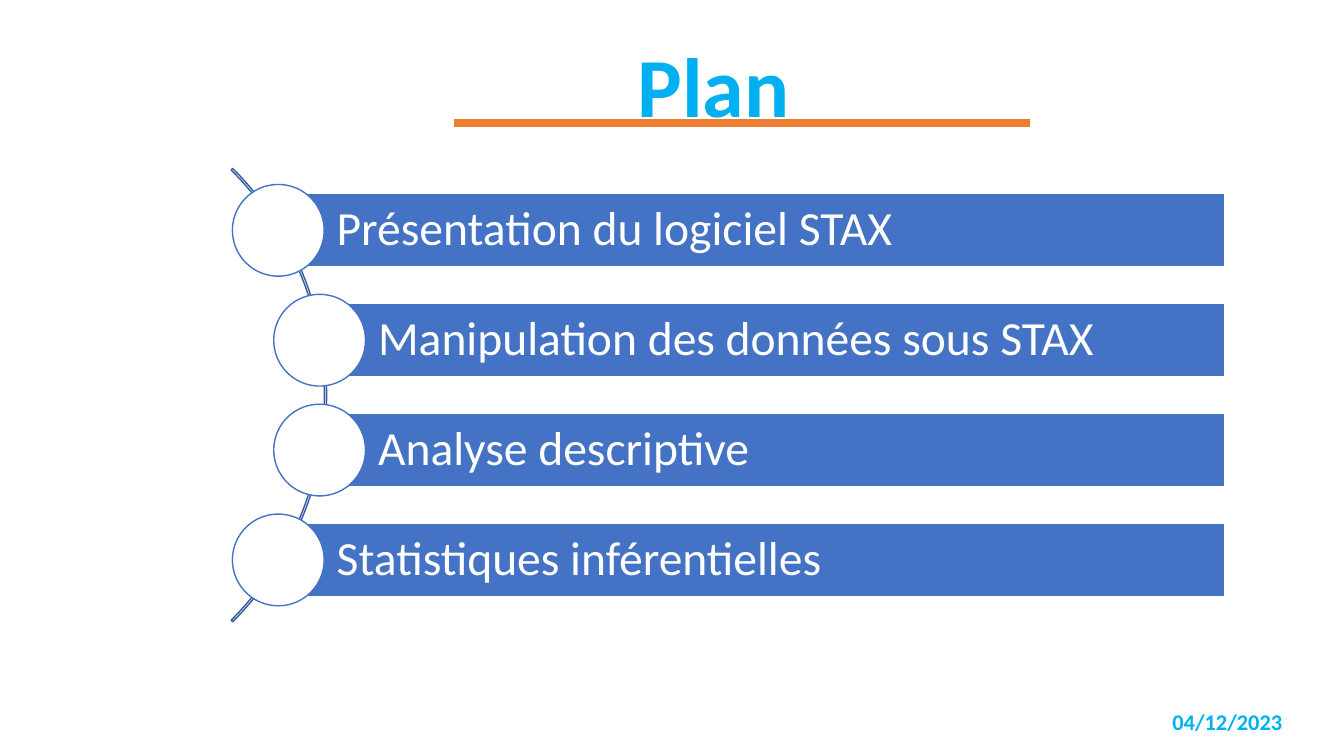
from dataclasses import dataclass

from lxml import etree
from pptx import Presentation
from pptx import util as u
from pptx.dml.color import RGBColor
from pptx.enum import shapes, text
from pptx.oxml.ns import qn


@dataclass(frozen=True)
class Theme:
    font: str = "Calibri"
    accent: RGBColor = RGBColor.from_string("00B0F0")
    bar: RGBColor = RGBColor.from_string("4472C4")
    arc: RGBColor = RGBColor.from_string("365B9D")
    rule: RGBColor = RGBColor.from_string("ED7D31")
    white: RGBColor = RGBColor.from_string("FFFFFF")
    title_size: int = 60
    item_size: int = 34
    date_size: int = 16


class PlanPage:
    def __init__(self, deck, theme):
        self.theme = theme
        self.page = deck.slides.add_slide(deck.slide_layouts[5])

    def set_text(self, box, words, size, color, bold=False, align=text.PP_ALIGN.LEFT):
        frame = box.text_frame
        frame.word_wrap = True
        frame.auto_size = text.MSO_AUTO_SIZE.NONE
        frame.vertical_anchor = text.MSO_ANCHOR.MIDDLE
        para = frame.paragraphs[0]
        para.text = words
        para.alignment = align
        para.line_spacing = 0.9
        para.font.name = self.theme.font
        para.font.size = u.Pt(size)
        para.font.bold = bold
        para.font.color.rgb = color
        return frame

    def title(self, words, left, top, width, height):
        box = self.page.shapes.title
        box.left, box.top = u.Inches(left), u.Inches(top)
        box.width, box.height = u.Inches(width), u.Inches(height)
        self.set_text(box, words, self.theme.title_size, self.theme.accent,
                      True, text.PP_ALIGN.CENTER)

    def date(self, words, left, top, width, height):
        box = self.page.shapes.add_textbox(
            u.Inches(left), u.Inches(top), u.Inches(width), u.Inches(height))
        self.set_text(box, words, self.theme.date_size, self.theme.accent, True)

    def shape(self, kind, left, top, width, height, line, fill=None):
        box = self.page.shapes.add_shape(
            kind, u.Inches(left), u.Inches(top), u.Inches(width), u.Inches(height))
        box.shadow.inherit = False
        if fill is None:
            box.fill.background()
        else:
            box.fill.solid()
            box.fill.fore_color.rgb = fill
        box.line.color.rgb = line
        box.line.width = u.Pt(1)
        return box

    def arc(self, center_x, center_y, size):
        """Draw a thin band open to the left, from 315 to 45 degrees."""
        band = self.shape(shapes.MSO_SHAPE.BLOCK_ARC, center_x - size / 2,
                          center_y - size / 2, size, size, self.theme.arc)
        for index, value in enumerate((189, 27, 0.0034)):
            band.adjustments[index] = value

    def item(self, words, left, center_y, right, height=0.73, dot=0.91):
        """Draw a bar with its text and a dot centred on the bar's left end."""
        theme = self.theme
        bar = self.shape(shapes.MSO_SHAPE.RECTANGLE, left, center_y - height / 2,
                         right - left, height, theme.white, theme.bar)
        frame = self.set_text(bar, words, theme.item_size, theme.white)
        frame.margin_left = u.Inches(0.58)
        frame.margin_right = u.Inches(0.09)
        self.shape(shapes.MSO_SHAPE.OVAL, left - dot / 2, center_y - dot / 2,
                   dot, dot, theme.bar, theme.white)

    def rule(self, left, right, y):
        line = self.page.shapes.add_connector(
            shapes.MSO_CONNECTOR.STRAIGHT,
            u.Inches(left), u.Inches(y), u.Inches(right), u.Inches(y))
        line.line.color.rgb = self.theme.rule
        line.line.width = u.Pt(6)
        etree.SubElement(line._element.spPr, qn("a:effectLst"))


def main():
    deck = Presentation()
    deck.slide_width, deck.slide_height = u.Inches(13.33), u.Inches(7.5)
    plan = PlanPage(deck, Theme())
    plan.title("Plan ", 4.38, 0.4, 5.58, 1)
    plan.date("04/12/2023", 11.53, 7.07, 1.41, 0.22)

    items = (
        ("Présentation du logiciel STAX", 2.76),
        ("Manipulation des données sous STAX", 3.17),
        ("Analyse descriptive", 3.17),
        ("Statistiques inférentielles", 2.76),
    )
    middle, pitch = 3.92, 1.09
    plan.arc(0.06, middle, 6.36)
    for index, (words, left) in enumerate(items):
        center_y = middle + (index - (len(items) - 1) / 2) * pitch
        plan.item(words, left, center_y, right=12.15)
    plan.rule(4.5, 10.22, 1.22)
    deck.save("out.pptx")


if __name__ == "__main__":
    main()
